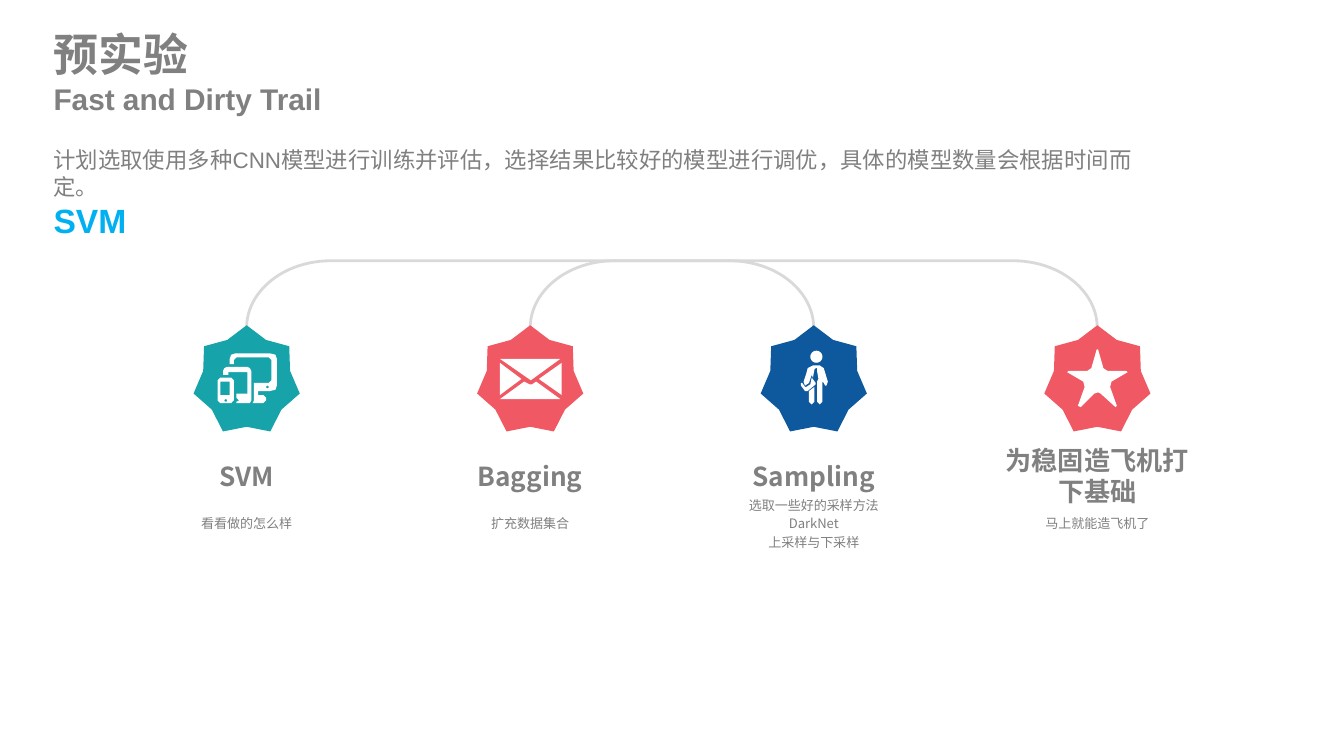
from math import cos, pi, sin
from pptx import Presentation
from pptx import util as u
from pptx.dml.color import RGBColor
from pptx.enum import shapes, text
from pptx.oxml.ns import qn
from lxml import etree


def ring(x, y, r):
    return [(x + r * cos(k * pi / 12), y + r * sin(k * pi / 12)) for k in range(24)]


theme = {
    "gray": "808080", "cyan": "00B0F0", "line": "D9D9D9", "white": "FFFFFF",
    "teal": "16A3AA", "red": "F05863", "navy": "0E589E",
    "latin": "Arial", "asian": "Noto Sans CJK SC",
    "title": 24, "sub": 16, "head": 18, "body": 12, "label": 14, "note": 7,
}

intro = [
    (["预实验", "Fast and Dirty Trail"], (0.3, 0.15, 2.22, 0.77),
     dict(sizes=["title", "sub"], bold=True)),
    (["计划选取使用多种CNN模型进行训练并评估，选择结果比较好的模型进行调优，具体的模型数量会根据时间而定。"],
     (0.3, 1.04, 8.63, 0.3), dict(sizes=["body"], wrap=True, right=0.4)),
    (["SVM"], (0.3, 1.44, 0.75, 0.4), dict(sizes=["head"], bold=True, color="cyan")),
]

screens = [
    [(20, 39), (28, 39), (30, 41), (30, 56), (28, 58), (20, 58), (18, 56), (18, 41)],
    [(20, 42), (27, 42), (27, 52), (20, 52)],
    ring(24, 56, 1),
    [(25, 31), (40, 31), (42, 32), (43, 34), (43, 56), (42, 58), (32, 58), (32, 57),
     (34, 56), (32, 54), (32, 51), (40, 51), (40, 35), (26, 35), (26, 37), (22, 37),
     (22, 34), (23, 32)],
    [(31, 21), (57, 21), (61, 22), (62, 25), (62, 45), (61, 48), (57, 49), (48, 49),
     (48, 52), (52, 52), (54, 54), (54, 56), (52, 58), (44, 58), (45, 56), (45, 43),
     (56, 43), (58, 41), (58, 26), (56, 24), (32, 24), (30, 26), (30, 29), (27, 29),
     (27, 25), (28, 22)],
    ring(55, 46, 1),
]
mail = [
    [(33, 40), (17, 52), (17, 28)],
    [(44, 42), (41, 44), (39, 44), (35, 42), (17, 55), (62, 55)],
    [(46, 40), (63, 52), (63, 28)],
    [(17, 25), (62, 25), (40, 41)],
]
person = [
    [(40, 46), (40, 57), (38, 59), (36, 57), (36, 49)],
    [(38, 39), (41, 43), (41, 44), (35, 49), (33, 49), (30, 45), (30, 43), (31, 43),
     (33, 46), (34, 46), (37, 44)],
    [(39, 30), (44, 30), (47, 32), (50, 42), (49, 45), (48, 45), (47, 43), (46, 42),
     (46, 57), (44, 59), (42, 57), (42, 42), (43, 40), (42, 34), (42, 32), (41, 32),
     (40, 33), (39, 39), (38, 37), (36, 43), (33, 45), (32, 42), (34, 36), (35, 32)],
    ring(41.5, 23.5, 4.5),
]
star = [
    [(40, 18), (44, 32), (47, 34), (61, 34), (62, 35), (50, 42), (49, 46), (54, 60),
     (53, 61), (42, 51), (40, 50), (37, 51), (27, 61), (25, 60), (30, 46), (29, 42),
     (17, 35), (18, 34), (32, 34), (35, 32), (39, 18)],
]

steps = [
    ("SVM", ["看看做的怎么样"], "teal", screens),
    ("Bagging", ["扩充数据集合"], "red", mail),
    ("Sampling", ["选取一些好的采样方法", "DarkNet", "上采样与下采样"], "navy", person),
    ("为稳固造飞机打下基础", ["马上就能造飞机了"], "red", star),
]

deck = Presentation()
deck.slide_width = u.Inches(10)
deck.slide_height = deck.slide_width * 9 // 16
slide = deck.slides.add_slide(deck.slide_layouts[6])


def tint(name):
    return RGBColor.from_string(theme[name])


def place(box):
    return [u.Inches(v) for v in box]


def write(lines, box, sizes, color="gray", font="latin", bold=False, wrap=False,
          right=0.1, label=False, grow=True, space=None):
    frame = slide.shapes.add_textbox(*place(box)).text_frame
    frame.word_wrap = wrap
    frame.margin_right = u.Inches(right)
    if label:
        frame.margin_left = frame.margin_right = 0
        frame.margin_top = frame.margin_bottom = 0
        frame.vertical_anchor = text.MSO_ANCHOR.MIDDLE
    if grow:
        frame.auto_size = text.MSO_AUTO_SIZE.SHAPE_TO_FIT_TEXT
    for k, line in enumerate(lines):
        para = frame.add_paragraph() if k else frame.paragraphs[0]
        para.alignment = text.PP_ALIGN.CENTER if label else text.PP_ALIGN.LEFT
        if space:
            para.line_spacing = space
        run = para.add_run()
        run.text = line
        run.font.size = u.Pt(theme[sizes[min(k, len(sizes) - 1)]])
        run.font.bold = bold
        run.font.color.rgb = tint(color)
        run.font.name = theme[font]
        east = etree.SubElement(run._r.get_or_add_rPr(), qn("a:ea"))
        east.set("typeface", theme["asian"])


def paint(shape, color):
    shape.shadow.inherit = False
    shape.fill.solid()
    shape.fill.fore_color.rgb = tint(color)
    shape.line.fill.background()


def draw(loops, left, top):
    unit = 100
    pen = None
    for loop in loops:
        dots = [(x * unit, y * unit) for x, y in loop]
        if pen is None:
            pen = slide.shapes.build_freeform(*dots[0], scale=u.Inches(0.01) / unit)
        else:
            pen.move_to(*dots[0])
        pen.add_line_segments(dots[1:], close=True)
    paint(pen.convert_to_shape(u.Inches(left), u.Inches(top)), "white")


for lines, box, form in intro:
    write(lines, box, **form)

pitch, first, top, size = 2.11, 1.44, 2.42, 0.79
depth, mid_x, mid_y, wide = 0.5, 5, 2.19, 1.51

for span in (3 * pitch, pitch):
    arc = slide.shapes.add_shape(
        shapes.MSO_SHAPE.RIGHT_BRACKET,
        *place((mid_x - depth / 2, mid_y - span / 2, depth, span)))
    arc.rotation = 270
    arc.adjustments[0] = 1.252
    arc.shadow.inherit = False
    arc.fill.background()
    arc.line.color.rgb = tint("line")
    arc.line.width = u.Pt(1.5)

for k, (name, notes, color, icon) in enumerate(steps):
    left = first + k * pitch
    badge = slide.shapes.add_shape(
        shapes.MSO_SHAPE.STAR_7_POINT, *place((left, top, size, size)))
    badge.adjustments[0] = 0.409
    paint(badge, color)
    draw(icon, left, top)
    edge = left + (size - wide) / 2
    write(notes, (edge, 3.65, wide, 0.47), ["note"], font="asian", wrap=True,
          label=True, grow=False, space=1.2)
    write([name], (edge, 3.42, wide, 0.24), ["label"], font="asian", bold=True,
          label=True)

deck.save("out.pptx")
